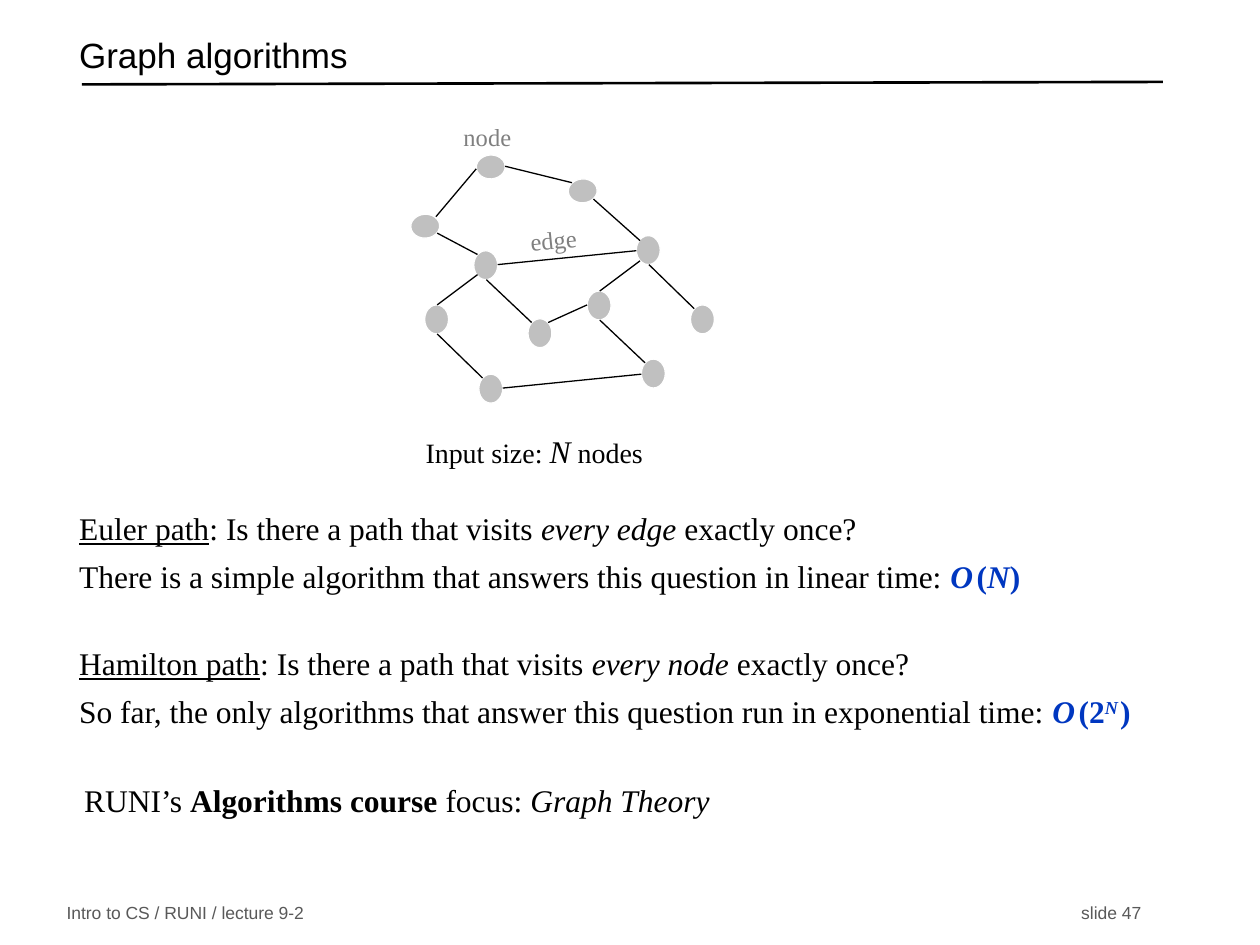
from dataclasses import dataclass

import pptx
import pptx.dml.color
import pptx.enum.shapes
import pptx.enum.text
import pptx.oxml.ns
import pptx.slide
import pptx.text.text
import pptx.util
from lxml import etree

EMU_PER_PX = 9144
COLORS = {
    "ink": "000000",
    "footer": "595959",
    "formula": "0037C0",
    "node": "C0C0C0",
    "node_outline": "FFFFFF",
    "label": "808080",
}
SERIF = "Times New Roman"
SANS = "Arial"
NODE_WIDTH, NODE_HEIGHT = 19, 23


@dataclass(frozen=True)
class Span:
    text: str
    size: int = 18
    font: str = SERIF
    color: str = "ink"
    bold: bool = False
    italic: bool = False
    underline: bool = False
    superscript: bool = False


@dataclass(frozen=True)
class TextBlock:
    left: int
    top: int
    width: int
    height: int
    lines: tuple[tuple[Span, ...], ...]
    rotation: float = 0
    centered: bool = False
    middle: bool = False
    line_spacing: float = 1.0
    right_tab: int = 0


@dataclass(frozen=True)
class Node:
    left: int
    top: int
    rotation: float = 0


@dataclass(frozen=True)
class Edge:
    x1: int
    y1: int
    x2: int
    y2: int
    width: float = 0.75


def px(length: int) -> pptx.util.Emu:
    return pptx.util.Emu(length * EMU_PER_PX)


def rgb(name: str) -> pptx.dml.color.RGBColor:
    return pptx.dml.color.RGBColor.from_string(COLORS[name])


def formula(text: str, **style) -> Span:
    return Span(text, color="formula", bold=True, **style)


def question(name: str, target: str) -> tuple[Span, ...]:
    return (
        Span(name, underline=True),
        Span(": Is there a path that visits "),
        Span(f"every {target} ", italic=True),
        Span("exactly once?"),
    )


BIG_O = (formula("O", italic=True), formula(" ", size=8, italic=True))

TEXT_BLOCKS = (
    TextBlock(43, 714, 880, 21, (
        (Span("Intro to CS / RUNI / lecture 9-2\tslide 47", 10, SANS, "footer"),),
    ), middle=True, right_tab=853),
    TextBlock(53, 22, 927, 50, ((Span("Graph algorithms", 20, SANS),),),
              middle=True, line_spacing=0.7),
    TextBlock(53, 506, 890, 79, (
        question("Hamilton path", "node"),
        (
            Span("So far, the only algorithms that answer this question run in exponential time: "),
            *BIG_O,
            formula("(2"),
            formula("N", italic=True, superscript=True),
            formula(" ", size=8, italic=True, superscript=True),
            formula(")"),
        ),
    )),
    TextBlock(53, 399, 866, 79, (
        question("Euler path", "edge"),
        (
            Span("There is a simple algorithm that answers this question in linear time: "),
            *BIG_O,
            formula("("),
            formula("N", italic=True),
            formula(")"),
        ),
    )),
    TextBlock(281, 338, 286, 40, (
        (Span("Input size: ", 16), Span("N", italic=True), Span(" nodes", 16)),
    ), centered=True),
    TextBlock(411, 173, 68, 34, ((Span("edge", 14, color="label"),),), rotation=354.1),
    TextBlock(358, 92, 68, 34, ((Span("node", 14, color="label"),),)),
    TextBlock(57, 615, 880, 40, (
        (
            Span("RUNI’s "),
            Span("Algorithms course ", bold=True),
            Span("focus: "),
            Span("Graph Theory", italic=True),
        ),
    )),
)

NODES = (
    Node(337, 242), Node(380, 297), Node(419, 253), Node(466, 231),
    Node(509, 285), Node(548, 242), Node(376, 199), Node(505, 187),
    Node(380, 121, 86.5), Node(328, 168, 86.5), Node(453, 140, 86.5),
)

TITLE_RULE = Edge(65, 67, 923, 65, 1.5)
EDGES = (
    Edge(347, 265, 383, 300), Edge(386, 222, 422, 256), Edge(379, 218, 347, 242),
    Edge(476, 254, 512, 288), Edge(515, 210, 551, 245), Edge(399, 308, 509, 297),
    Edge(435, 256, 466, 242), Edge(508, 207, 476, 231), Edge(395, 210, 505, 199),
    Edge(378, 134, 346, 172), Edge(454, 145, 401, 132), Edge(379, 202, 347, 185),
    Edge(471, 158, 508, 191),
)


def add_span(paragraph: pptx.text.text._Paragraph, span: Span) -> None:
    run = paragraph.add_run()
    run.text = span.text
    run.font.size = pptx.util.Pt(span.size)
    run.font.name = span.font
    run.font.color.rgb = rgb(span.color)
    run.font.bold = span.bold
    run.font.italic = span.italic
    run.font.underline = span.underline
    if span.superscript:
        run._r.get_or_add_rPr().set("baseline", "30000")


def add_right_tab(paragraph: pptx.text.text._Paragraph, position: int) -> None:
    properties = paragraph._p.get_or_add_pPr()
    tabs = etree.SubElement(properties, pptx.oxml.ns.qn("a:tabLst"))
    etree.SubElement(tabs, pptx.oxml.ns.qn("a:tab"), pos=str(px(position)), algn="r")


def add_text(slide: pptx.slide.Slide, block: TextBlock) -> None:
    shape = slide.shapes.add_textbox(
        px(block.left), px(block.top), px(block.width), px(block.height))
    shape.rotation = block.rotation
    frame = shape.text_frame
    frame.word_wrap = True
    anchors = pptx.enum.text.MSO_ANCHOR
    frame.vertical_anchor = anchors.MIDDLE if block.middle else anchors.TOP
    for index, line in enumerate(block.lines):
        paragraph = frame.add_paragraph() if index else frame.paragraphs[0]
        if block.right_tab:
            add_right_tab(paragraph, block.right_tab)
        if index:
            paragraph.space_before = pptx.util.Pt(6)
        if block.centered:
            paragraph.alignment = pptx.enum.text.PP_ALIGN.CENTER
        paragraph.line_spacing = block.line_spacing
        for span in line:
            add_span(paragraph, span)


def add_node(slide: pptx.slide.Slide, node: Node) -> None:
    shape = slide.shapes.add_shape(
        pptx.enum.shapes.MSO_SHAPE.OVAL,
        px(node.left), px(node.top), px(NODE_WIDTH), px(NODE_HEIGHT))
    shape.rotation = node.rotation
    shape.shadow.inherit = False
    shape.fill.solid()
    shape.fill.fore_color.rgb = rgb("node")
    shape.line.color.rgb = rgb("node_outline")
    shape.line.width = pptx.util.Pt(0.75)


def add_edge(slide: pptx.slide.Slide, edge: Edge) -> None:
    connector = slide.shapes.add_connector(
        pptx.enum.shapes.MSO_CONNECTOR.STRAIGHT,
        px(edge.x1), px(edge.y1), px(edge.x2), px(edge.y2))
    connector.line.color.rgb = rgb("ink")
    connector.line.width = pptx.util.Pt(edge.width)
    etree.SubElement(connector._element.spPr, pptx.oxml.ns.qn("a:effectLst"))


def main() -> None:
    presentation = pptx.Presentation()
    presentation.slide_width, presentation.slide_height = px(1000), px(750)
    slide = presentation.slides.add_slide(presentation.slide_layouts[6])
    add_edge(slide, TITLE_RULE)
    for node in NODES:
        add_node(slide, node)
    for edge in EDGES:
        add_edge(slide, edge)
    for block in TEXT_BLOCKS:
        add_text(slide, block)
    presentation.save("out.pptx")


if __name__ == "__main__":
    main()
